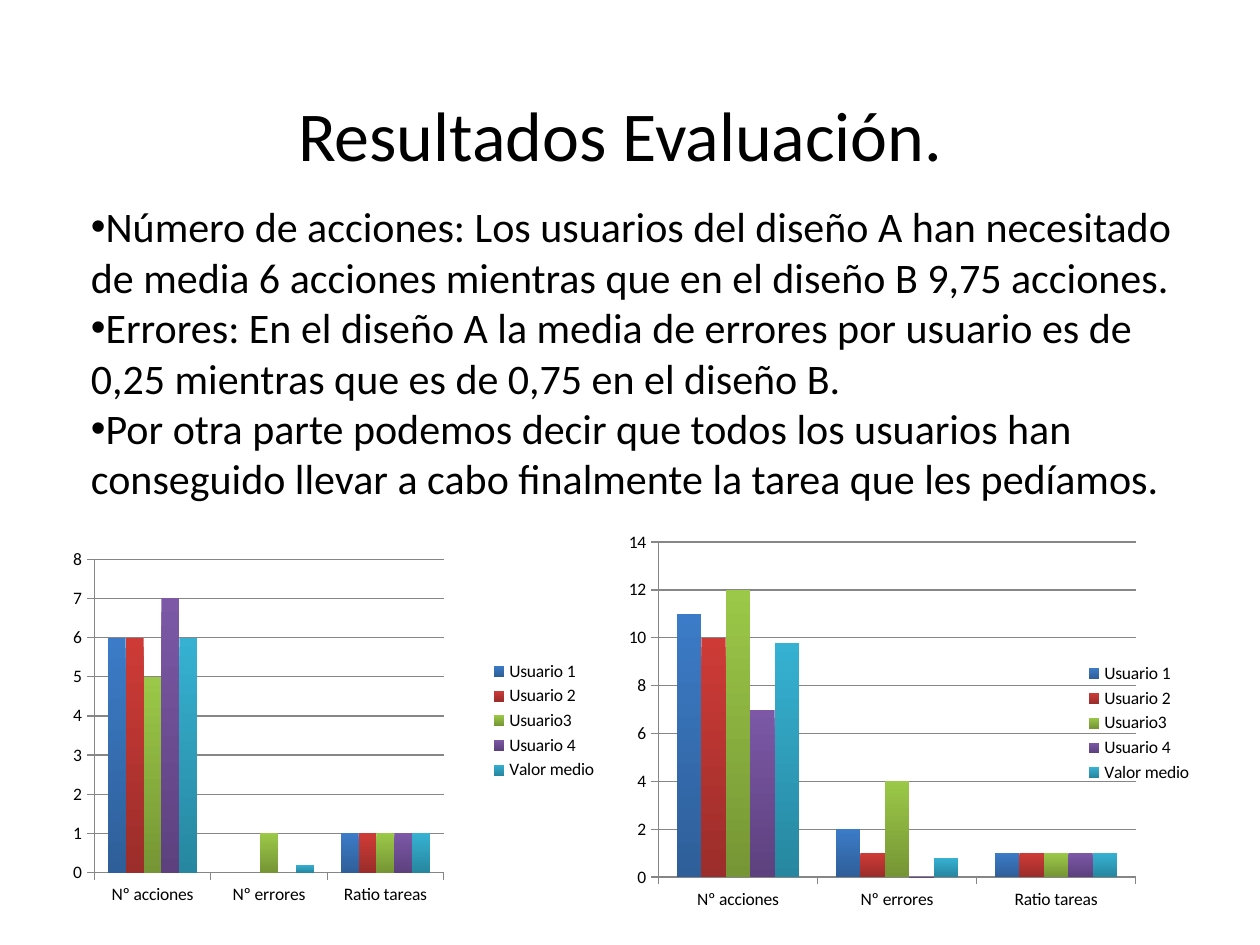
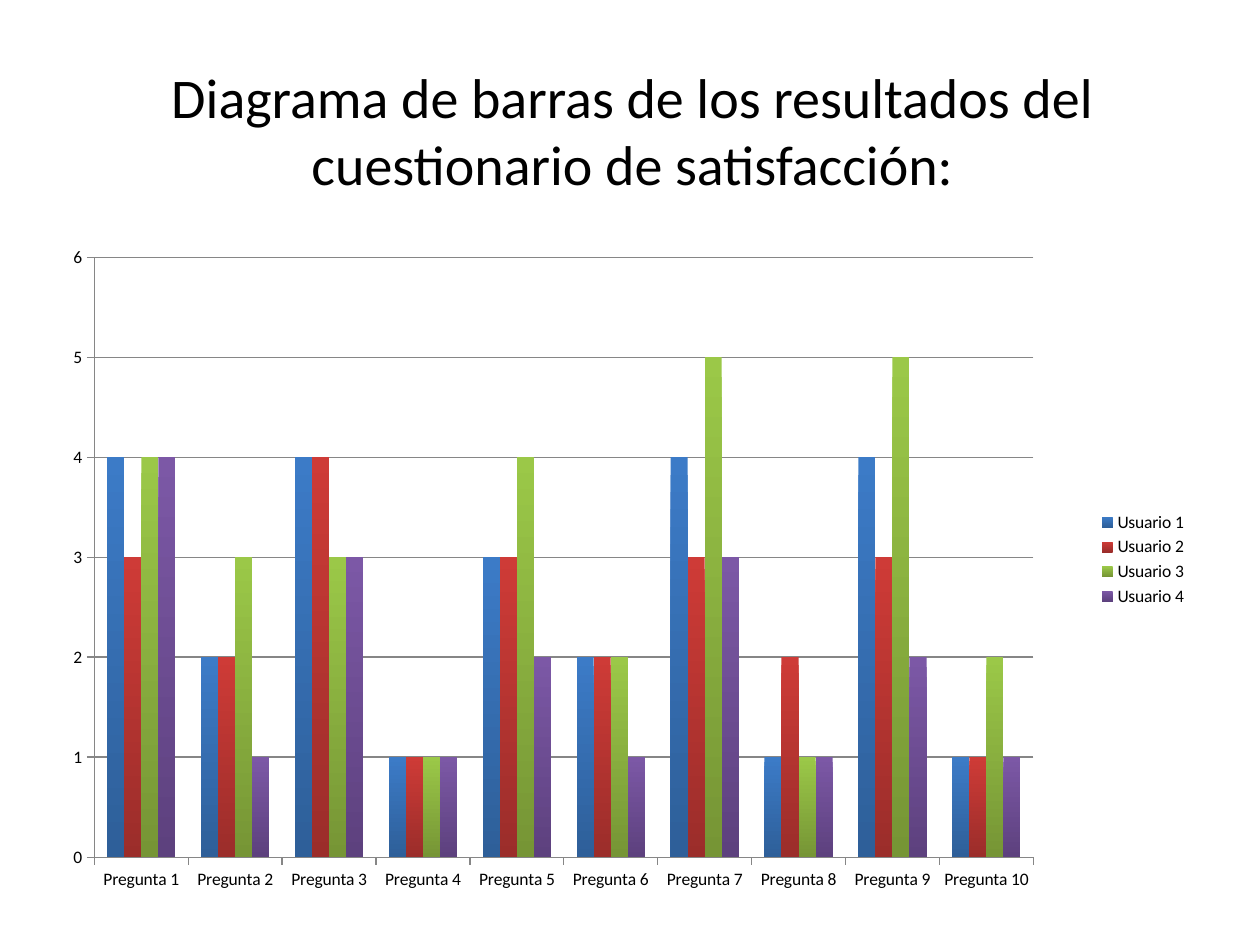
from dataclasses import dataclass

from lxml import etree
from pptx import Presentation
from pptx.chart.data import CategoryChartData
from pptx.dml.color import RGBColor
from pptx.enum.chart import XL_CHART_TYPE, XL_LEGEND_POSITION, XL_TICK_MARK
from pptx.enum.text import MSO_AUTO_SIZE, PP_ALIGN
from pptx.oxml.ns import qn
from pptx.util import Pt


@dataclass(frozen=True)
class Theme:
    font: str = "Calibri"
    bullet_font: str = "Arial"
    text: str = "000000"
    grid: str = "868686"
    background: str = "FFFFFF"
    title_size: int = 40
    long_title_size: int = 32
    body_size: int = 24
    chart_size: int = 10
    # Top and bottom colour of the bars, one pair per user
    bars: tuple = (
        ("3C7BC7", "2E5F99"),
        ("CE3B37", "9B2D2A"),
        ("9BC848", "769535"),
        ("7C58A6", "5D417E"),
        ("36B1D2", "2787A0"),
    )


def set_attributes(target, formats):
    for name, value in formats.items():
        setattr(target, name, value)


class SlideBuilder:
    def __init__(self, presentation, theme):
        self.presentation = presentation
        self.theme = theme
        self.slide = None

    def new_slide(self):
        self.slide = self.presentation.slides.add_slide(self.presentation.slide_layouts[6])
        fill = self.slide.background.fill
        fill.solid()
        fill.fore_color.rgb = RGBColor.from_string(self.theme.background)

    def style_font(self, font, size):
        set_attributes(font, {"name": self.theme.font, "size": Pt(size), "bold": False})
        font.color.rgb = RGBColor.from_string(self.theme.text)

    def add_text(self, box, lines, size, alignment=PP_ALIGN.LEFT, bullet=None):
        shape = self.slide.shapes.add_textbox(*map(Pt, box))
        frame = shape.text_frame
        set_attributes(frame, {"word_wrap": True, "auto_size": MSO_AUTO_SIZE.SHAPE_TO_FIT_TEXT})
        for index, line in enumerate(lines):
            paragraph = frame.paragraphs[0] if index == 0 else frame.add_paragraph()
            paragraph.alignment = alignment
            run = paragraph.add_run()
            run.text = line
            self.style_font(run.font, size)
            if bullet:
                properties = paragraph._p.get_or_add_pPr()
                etree.SubElement(properties, qn("a:buFont")).set(
                    "typeface", self.theme.bullet_font)
                etree.SubElement(properties, qn("a:buChar")).set("char", bullet)

    def add_title(self, box, title, size):
        self.add_text(box, [title], size, PP_ALIGN.CENTER)

    def add_bar_chart(self, box, categories, series, plot_area, maximum, step):
        data = CategoryChartData()
        data.categories = categories
        for name, values in series.items():
            data.add_series(name, values)
        frame = self.slide.shapes.add_chart(
            XL_CHART_TYPE.COLUMN_CLUSTERED, *map(Pt, box), data)
        chart = frame.chart
        set_attributes(chart, {"has_title": False, "has_legend": True})
        set_attributes(chart.legend, {
            "position": XL_LEGEND_POSITION.RIGHT, "include_in_layout": False})
        for font in (chart.font, chart.legend.font):
            self.style_font(font, self.theme.chart_size)

        # Axes and gridlines
        set_attributes(chart.value_axis, {
            "minimum_scale": 0, "maximum_scale": maximum,
            "major_unit": step, "has_major_gridlines": True})
        for axis in (chart.category_axis, chart.value_axis):
            axis.major_tick_mark = XL_TICK_MARK.OUTSIDE
            self.style_line(axis.format.line)
        self.style_line(chart.value_axis.major_gridlines.format.line)

        # Bars
        plot = chart.plots[0]
        set_attributes(plot, {"gap_width": 150, "overlap": 0, "vary_by_categories": False})
        for bars, colors in zip(plot.series, self.theme.bars):
            fill = bars.format.fill
            fill.gradient()
            fill.gradient_angle = 270
            for stop, color in zip(fill.gradient_stops, colors):
                stop.color.rgb = RGBColor.from_string(color)
        self.place_plot_area(chart, plot_area)

    def style_line(self, line):
        line.width = Pt(0.75)
        line.color.rgb = RGBColor.from_string(self.theme.grid)

    def place_plot_area(self, chart, plot_area):
        area = chart._chartSpace.find(".//" + qn("c:plotArea"))
        layout = area.find(qn("c:layout"))
        if layout is None:
            layout = etree.Element(qn("c:layout"))
            area.insert(0, layout)
        manual = etree.SubElement(layout, qn("c:manualLayout"))
        values = {"layoutTarget": "inner", "xMode": "edge", "yMode": "edge"}
        values.update(zip("xywh", plot_area))
        for name, value in values.items():
            etree.SubElement(manual, qn("c:" + name)).set("val", str(value))


def add_evaluation_results(builder):
    builder.new_slide()
    builder.add_title((156, 49, 397, 55), "Resultados Evaluación.", builder.theme.title_size)
    builder.add_text((44.9, 111.2, 647, 204), [
        "Número de acciones: Los usuarios del diseño A han necesitado de media 6 acciones "
        "mientras que en el diseño B 9,75 acciones.",
        "Errores: En el diseño A la media de errores por usuario es de 0,25 mientras que "
        "es de 0,75 en el diseño B.",
        "Por otra parte podemos decir que todos los usuarios han conseguido llevar a cabo "
        "finalmente la tarea que les pedíamos.",
    ], builder.theme.body_size, bullet="•")

    # One chart per design, with the same measures and users
    measures = ["Nº acciones", "Nº errores", "Ratio tareas"]
    users = ["Usuario 1", "Usuario 2", "Usuario3", "Usuario 4", "Valor medio"]
    design_a = [(6, 0, 1), (6, 0, 1), (5, 1, 1), (7, 0, 1), (6, 0.2, 1)]
    design_b = [(11, 2, 1), (10, 1, 1), (12, 4, 1), (7, 0, 1), (9.8, 0.8, 1)]
    builder.add_bar_chart((36.7, 298.3, 312, 227), measures, dict(zip(users, design_a)),
                          (0.055, 0.094, 0.64, 0.789), maximum=8, step=1)
    builder.add_bar_chart((343.1, 303.7, 345.6, 219), measures, dict(zip(users, design_b)),
                          (0.096, 0.028, 0.789, 0.874), maximum=14, step=2)


def add_satisfaction_results(builder):
    builder.new_slide()
    questions = [f"Pregunta {number}" for number in range(1, 11)]
    answers = {
        "Usuario 1": (4, 2, 4, 1, 3, 2, 4, 1, 4, 1),
        "Usuario 2": (3, 2, 4, 1, 3, 2, 3, 2, 3, 1),
        "Usuario 3": (4, 3, 3, 1, 4, 2, 5, 1, 5, 2),
        "Usuario 4": (4, 1, 3, 1, 2, 1, 3, 1, 2, 1),
    }
    builder.add_bar_chart((33.7, 118.4, 652, 402.5), questions, answers,
                          (0.031, 0.071, 0.823, 0.852), maximum=6, step=1)
    builder.add_title((42.5, 31.9, 638, 85),
                      "Diagrama de barras de los resultados del cuestionario de satisfacción:",
                      builder.theme.long_title_size)


def main():
    presentation = Presentation()
    set_attributes(presentation, {"slide_width": Pt(720), "slide_height": Pt(540)})
    builder = SlideBuilder(presentation, Theme())
    add_evaluation_results(builder)
    add_satisfaction_results(builder)
    presentation.save("out.pptx")


if __name__ == "__main__":
    main()
